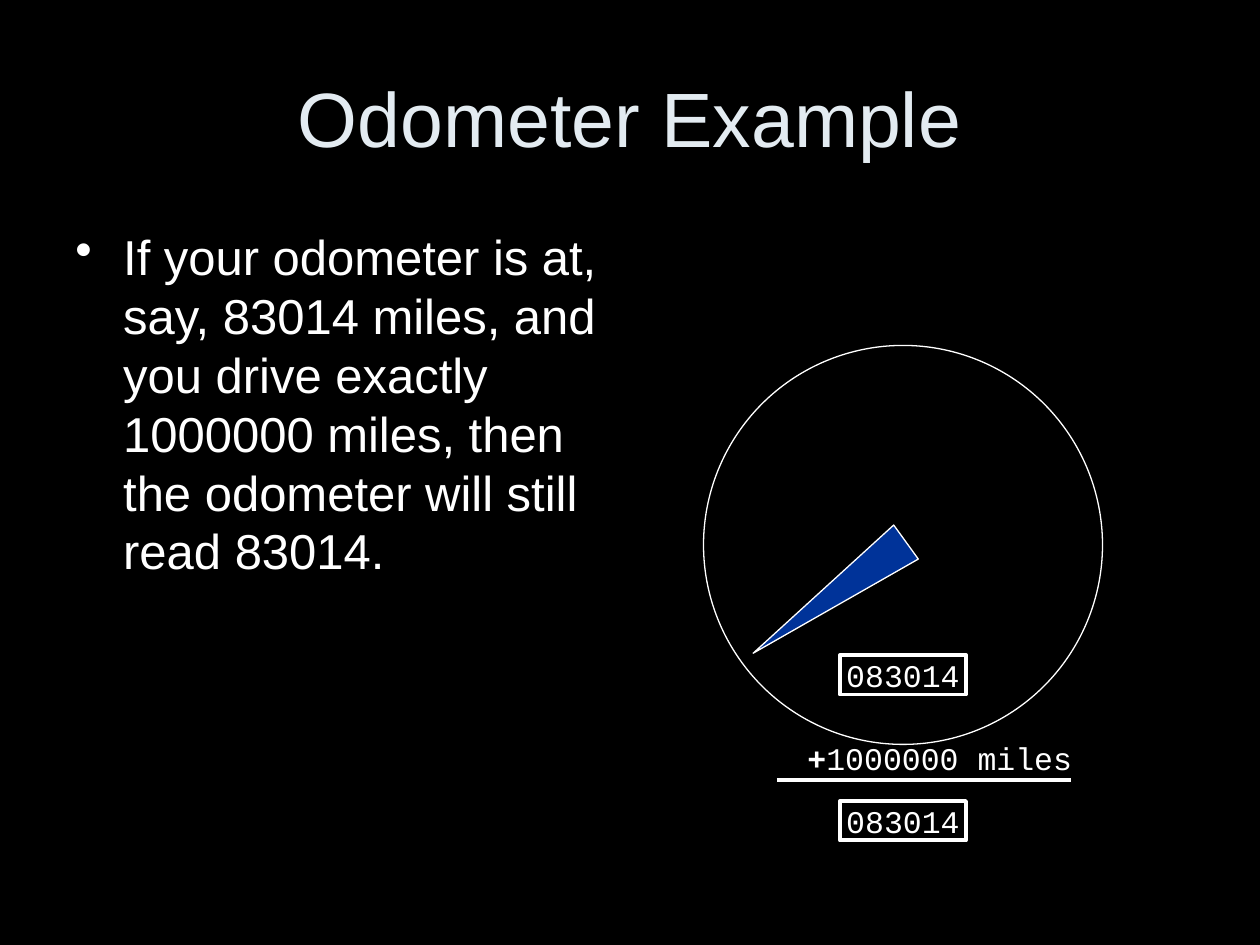
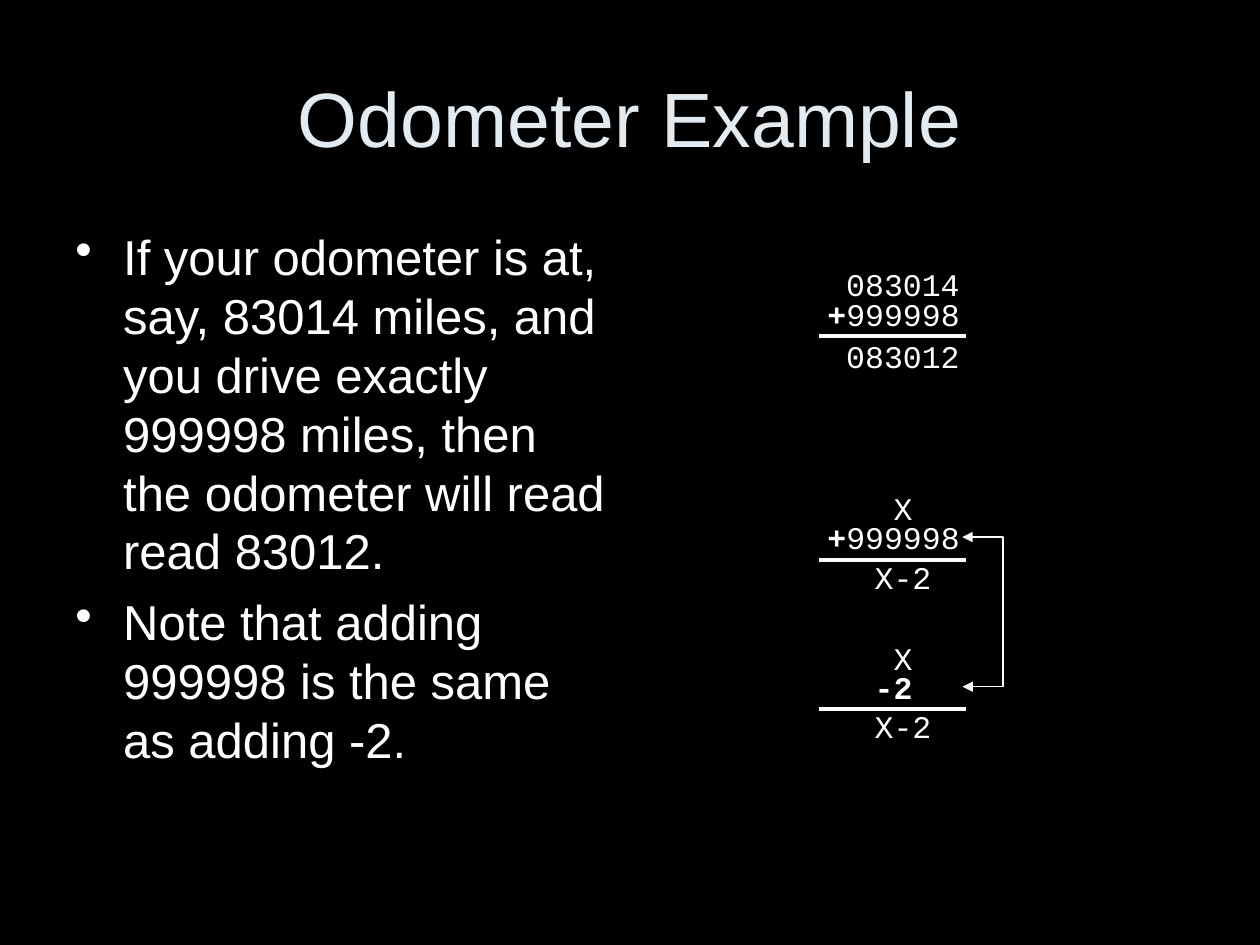
from typing import NamedTuple

from lxml.etree import SubElement
from pptx import Presentation
from pptx.dml.color import RGBColor
from pptx.enum.shapes import MSO_CONNECTOR, MSO_SHAPE
from pptx.enum.text import MSO_ANCHOR as Anchor, PP_ALIGN as Align
from pptx.oxml.ns import qn
from pptx.util import Inches, Pt

BLACK, WHITE, PALE, BLUE = "000000", "FFFFFF", "E3EBF1", "003399"
SANS, MONO = "Arial", "Courier New"
COLUMNS, ROWS = 120, 90
THIN, THICK = 0.75, 2.25

prs = Presentation()
prs.slide_width, prs.slide_height = Inches(10), Inches(7.5)


class Area(NamedTuple):
    """A rectangle in grid columns and rows."""
    col: float
    row: float
    cols: float
    rows: float


class Run(NamedTuple):
    """A piece of text in one weight."""
    text: str
    bold: bool = False


class Style(NamedTuple):
    """The type style of a text."""
    font: str
    size: int
    color: str


class Sum(NamedTuple):
    """A written addition standing on its rule."""
    rule_row: float
    top: str
    addend: tuple[Run, ...]
    result: str
    result_drop: float = -0.25


TITLE, BODY, DIGITS = Style(SANS, 44, PALE), Style(SANS, 28, WHITE), Style(MONO, 18, WHITE)
TITLE_AREA = Area(6, 3.6, 108, 15)
BODY_AREA = Area(6, 21, 53, 59.4)
DIGIT_COL, DIGIT_COLS, DIGIT_ROWS = 80, 12, 3.75
PLUS_999998 = (Run("+", True), Run("999998"))
SUMS = (
    Sum(32, "083014", PLUS_999998, "083012", 0),
    Sum(53.3, "X", PLUS_999998, "X-2"),
    Sum(67.55, "X", (Run("-2", True),), "X-2"),
)


def rgb(color: str) -> RGBColor:
    """Turn a hex string into a colour."""
    return RGBColor.from_string(color)


def x(col: float) -> int:
    """Give the position of a grid column."""
    return round(prs.slide_width * col / COLUMNS)


def y(row: float) -> int:
    """Give the position of a grid row."""
    return round(prs.slide_height * row / ROWS)


def place(area: Area) -> tuple[int, int, int, int]:
    """Give left, top, width and height of an area."""
    return x(area.col), y(area.row), x(area.cols), y(area.rows)


def add_runs(paragraph, runs: tuple[Run, ...], style: Style) -> None:
    """Add styled runs to a paragraph."""
    for piece in runs:
        run = paragraph.add_run()
        run.text = piece.text
        run.font.name, run.font.size = style.font, Pt(style.size)
        run.font.bold = piece.bold
        run.font.color.rgb = rgb(style.color)


def write_centred(holder, runs: tuple[Run, ...], style: Style) -> None:
    """Centre one unwrapped line in a shape."""
    frame = holder.text_frame
    frame.word_wrap = False
    frame.margin_left = frame.margin_right = 0
    frame.vertical_anchor = Anchor.MIDDLE
    frame.paragraphs[0].alignment = Align.CENTER
    add_runs(frame.paragraphs[0], runs, style)


def add_label(slide, area: Area, runs: tuple[Run, ...], style: Style = DIGITS) -> None:
    """Add a centred line of text without an outline."""
    write_centred(slide.shapes.add_textbox(*place(area)), runs, style)


def add_outline(slide, kind: MSO_SHAPE, area: Area, weight: float, fill: str | None = None):
    """Add a white outlined shape."""
    shape = slide.shapes.add_shape(kind, *place(area))
    shape.shadow.inherit = False
    if fill:
        shape.fill.solid()
        shape.fill.fore_color.rgb = rgb(fill)
    else:
        shape.fill.background()
    shape.line.color.rgb, shape.line.width = rgb(WHITE), Pt(weight)
    return shape


def add_line(slide, start: tuple[float, float], end: tuple[float, float], weight: float,
             kind: MSO_CONNECTOR = MSO_CONNECTOR.STRAIGHT):
    """Draw a white connector between two grid points."""
    line = slide.shapes.add_connector(kind, x(start[0]), y(start[1]), x(end[0]), y(end[1]))
    line.line.color.rgb, line.line.width = rgb(WHITE), Pt(weight)
    SubElement(line._element.spPr, qn("a:effectLst"))
    return line


def add_bracket(slide, col: float, rows: list[float], reach: float) -> None:
    """Join two rows by a bracket that points at both."""
    width = 0.02
    bracket = add_line(slide, (col, rows[0]), (col + width, rows[1]), THIN, MSO_CONNECTOR.ELBOW)
    for end in ("a:headEnd", "a:tailEnd"):
        SubElement(bracket.line._get_or_add_ln(), qn(end), type="triangle")
    guides = bracket._element.spPr.find(qn("a:prstGeom")).get_or_add_avLst()
    SubElement(guides, qn("a:gd"), name="adj1", fmla=f"val {round(reach / width * 100000)}")


def add_bullets(slide, points: tuple[str, ...]) -> None:
    """Write the bulleted text of the left half."""
    frame = slide.shapes.add_textbox(*place(BODY_AREA)).text_frame
    frame.word_wrap = True
    for index, point in enumerate(points):
        paragraph = frame.add_paragraph() if index else frame.paragraphs[0]
        properties = paragraph._p.get_or_add_pPr()
        properties.set("marL", str(Inches(0.38)))
        properties.set("indent", str(-Inches(0.38)))
        SubElement(properties, qn("a:buChar"), char="•")
        paragraph.space_before = Pt(7 if index else 0)
        add_runs(paragraph, (Run(point),), BODY)


def add_odometer_slide(points: tuple[str, ...]):
    """Start a black slide with the shared title and its bullets."""
    slide = prs.slides.add_slide(prs.slide_layouts[6])
    slide.background.fill.solid()
    slide.background.fill.fore_color.rgb = rgb(BLACK)
    add_label(slide, TITLE_AREA, (Run("Odometer Example"),), TITLE)
    add_bullets(slide, points)
    return slide


def add_counter(slide, row: float) -> None:
    """Draw the odometer window with its reading."""
    window = add_outline(slide, MSO_SHAPE.RECTANGLE,
                         Area(DIGIT_COL, row, DIGIT_COLS, DIGIT_ROWS), THICK)
    write_centred(window, (Run("083014"),), DIGITS)


def add_sum(slide, addition: Sum) -> None:
    """Write an addition around its rule."""
    rule = addition.rule_row
    for row, text in ((rule - 6.8, addition.top), (rule + addition.result_drop, addition.result)):
        add_label(slide, Area(DIGIT_COL, row, DIGIT_COLS, DIGIT_ROWS), (Run(text),))
    add_label(slide, Area(78.6, rule - 4, 13, DIGIT_ROWS), addition.addend)
    add_line(slide, (78, rule), (92, rule), THICK)


def build_dial_slide() -> None:
    """Build the slide with the dial that rolls over."""
    slide = add_odometer_slide((
        "If your odometer is at, say, 83014 miles, and you drive exactly "
        "1000000 miles, then the odometer will still read 83014.",))
    add_counter(slide, 62.4)
    needle = add_outline(slide, MSO_SHAPE.ISOSCELES_TRIANGLE, Area(77, 47.9, 4, 18), THIN, BLUE)
    needle.rotation = 234.1
    needle.adjustments[0] = 0.49
    add_outline(slide, MSO_SHAPE.OVAL, Area(67, 32.9, 38, 38), THIN)
    add_counter(slide, 76.3)
    add_label(slide, Area(76.5, 70.3, 26, DIGIT_ROWS), (Run("+", True), Run("1000000 miles")))
    add_line(slide, (74, 74.25), (102, 74.25), THICK)


def build_sums_slide() -> None:
    """Build the slide that equates two additions."""
    slide = add_odometer_slide((
        "If your odometer is at, say, 83014 miles, and you drive exactly "
        "999998 miles, then the odometer will read read 83012.",
        "Note that adding 999998 is the same as adding -2."))
    for addition in SUMS:
        add_sum(slide, addition)
    equal_rows = [addition.rule_row - 2.15 for addition in SUMS[1:]]
    add_bracket(slide, 91.65, equal_rows, 4.1)


def main() -> None:
    """Build both slides and save them."""
    build_dial_slide()
    build_sums_slide()
    prs.save("out.pptx")


if __name__ == "__main__":
    main()
